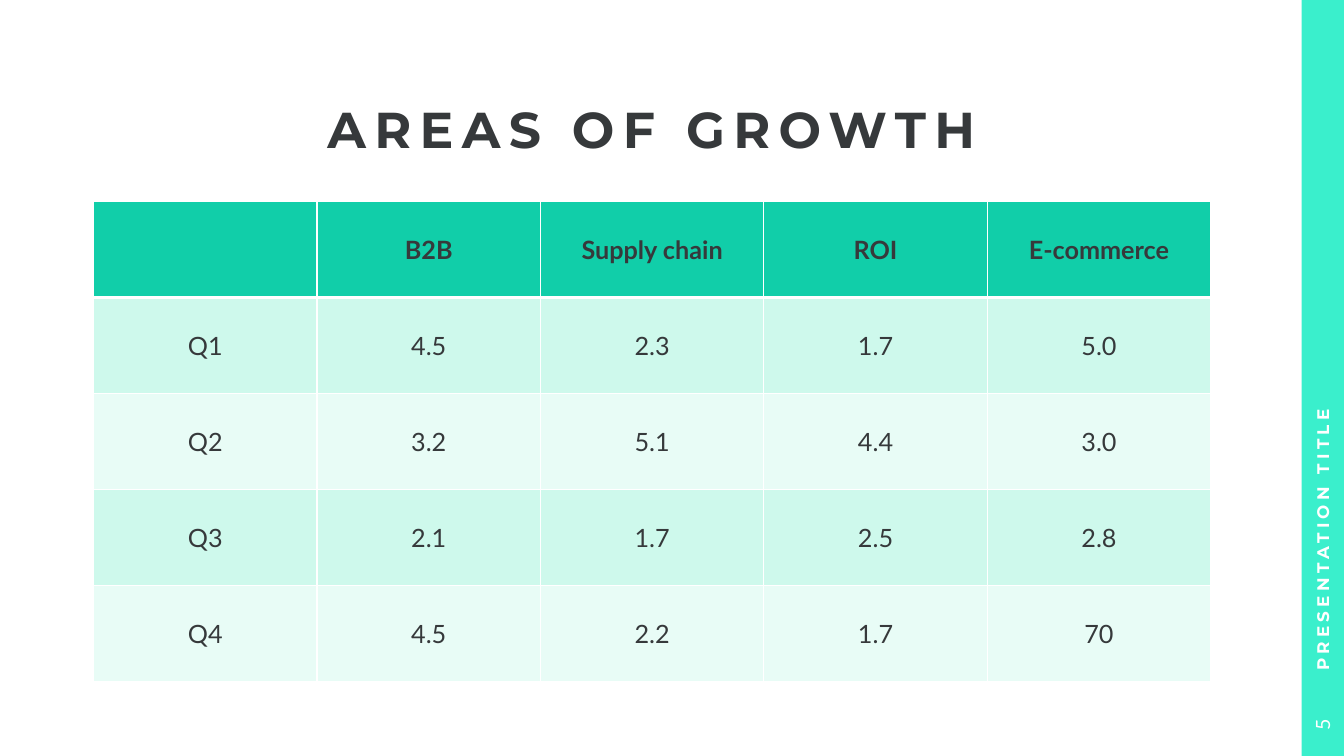
from dataclasses import dataclass

from lxml import etree
from pptx import Presentation
from pptx.dml.color import RGBColor
from pptx.enum.shapes import MSO_SHAPE
from pptx.enum.text import MSO_ANCHOR, PP_ALIGN
from pptx.oxml.ns import qn
from pptx.slide import Slide
from pptx.table import _Cell
from pptx.text.text import _Paragraph
from pptx.util import Cm, Pt

RECT = MSO_SHAPE.RECTANGLE
MIDDLE = MSO_ANCHOR.MIDDLE
LEFT, CENTER = PP_ALIGN.LEFT, PP_ALIGN.CENTER


@dataclass(frozen=True)
class Theme:
    ink: str = "36393B"
    white: str = "FFFFFF"
    bar: str = "3AEFCC"
    head: str = "11CEA9"
    bands: tuple[str, str] = ("CEF9EC", "E8FCF6")
    title_font: str = "Montserrat"
    body_font: str = "Lato"
    title_size: int = 36
    table_size: int = 18
    foot_size: int = 12
    page_size: int = 14
    thin: int = 1
    thick: int = 3


@dataclass(frozen=True)
class Style:
    font: str
    size: int
    color: str
    bold: bool = False
    gap: int = 0
    align: PP_ALIGN = CENTER
    line: float = 1.0


@dataclass(frozen=True)
class Label:
    text: str
    box: tuple[float, float, float, float]
    style: Style
    inset: tuple[float, float, float, float]
    turn: int = 0


THEME = Theme()
SIDE = (0.25, 0.13, 0.25, 0.13)

LABELS = [
    Label("AREAS OF GROWTH", (2.36, 2.44, 28.12, 1.8),
          Style(THEME.title_font, THEME.title_size, THEME.ink, True, 6, line=0.9),
          (0, 0, 0, 0)),
    Label("PRESENTATION TITLE", (24.59, 8.2, 17.48, 1.07),
          Style(THEME.title_font, THEME.foot_size, THEME.white, True, 3, LEFT),
          (0.58, 0.13, 0.25, 0.13), 270),
    Label("5", (32.54, 17.73, 1.57, 1.07),
          Style(THEME.body_font, THEME.page_size, THEME.white), SIDE, 270),
]

ROWS = [
    ("", "B2B", "Supply chain", "ROI", "E-commerce"),
    ("Q1", "4.5", "2.3", "1.7", "5.0"),
    ("Q2", "3.2", "5.1", "4.4", "3.0"),
    ("Q3", "2.1", "1.7", "2.5", "2.8"),
    ("Q4", "4.5", "2.2", "1.7", "70"),
]
COL_WIDTH, ROW_HEIGHT = 5.63, 2.42


def write(para: _Paragraph, text: str, style: Style) -> None:
    para.alignment = style.align
    para.line_spacing = style.line
    if not text:
        return
    run = para.add_run()
    run.text = text
    formats = {"name": style.font, "size": Pt(style.size), "bold": style.bold}
    for name, value in formats.items():
        setattr(run.font, name, value)
    run.font.color.rgb = RGBColor.from_string(style.color)
    if style.gap:
        run.font._element.set("spc", str(style.gap * 100))


def add_label(slide: Slide, label: Label) -> None:
    shape = slide.shapes.add_textbox(*map(Cm, label.box))
    shape.rotation = label.turn
    left, top, right, bottom = map(Cm, label.inset)
    formats = {
        "word_wrap": True, "vertical_anchor": MIDDLE,
        "margin_left": left, "margin_top": top,
        "margin_right": right, "margin_bottom": bottom,
    }
    for name, value in formats.items():
        setattr(shape.text_frame, name, value)
    write(shape.text_frame.paragraphs[0], label.text, label.style)


def add_bar(slide: Slide) -> None:
    bar = slide.shapes.add_shape(RECT, Cm(32.8), 0, Cm(1.07), Cm(19.05))
    bar.shadow.inherit = False
    bar.fill.solid()
    bar.fill.fore_color.rgb = RGBColor.from_string(THEME.bar)
    bar.line.fill.background()


def add_edges(cell: _Cell, top: int, bottom: int) -> None:
    props = cell._tc.get_or_add_tcPr()
    edges = {"L": THEME.thin, "R": THEME.thin, "T": top, "B": bottom}
    for side, width in edges.items():
        edge = etree.SubElement(props, qn(f"a:ln{side}"), w=str(Pt(width)))
        fill = etree.SubElement(edge, qn("a:solidFill"))
        etree.SubElement(fill, qn("a:srgbClr"), val=THEME.white)


def add_grid(slide: Slide) -> None:
    count, width = len(ROWS), len(ROWS[0])
    frame = slide.shapes.add_table(
        count, width, Cm(2.36), Cm(5.08),
        Cm(COL_WIDTH * width), Cm(ROW_HEIGHT * count))
    table = frame.table
    table.first_row = table.horz_banding = False
    for col in table.columns:
        col.width = Cm(COL_WIDTH)
    for i, texts in enumerate(ROWS):
        table.rows[i].height = Cm(ROW_HEIGHT)
        head = i == 0
        color = THEME.head if head else THEME.bands[(i - 1) % 2]
        style = Style(THEME.body_font, THEME.table_size, THEME.ink, head)
        # The heavy rule lies between the header and the first quarter
        top = THEME.thick if i == 1 else THEME.thin
        bottom = THEME.thick if head else THEME.thin
        for j, text in enumerate(texts):
            cell = table.cell(i, j)
            cell.vertical_anchor = MIDDLE
            add_edges(cell, top, bottom)
            cell.fill.solid()
            cell.fill.fore_color.rgb = RGBColor.from_string(color)
            write(cell.text_frame.paragraphs[0], text, style)


def main() -> None:
    deck = Presentation()
    deck.slide_width, deck.slide_height = Cm(33.87), Cm(19.05)
    slide = deck.slides.add_slide(deck.slide_layouts[6])

    # Side bar
    add_bar(slide)
    # Growth table
    add_grid(slide)
    # Title, footer and page number
    for label in LABELS:
        add_label(slide, label)

    deck.save("out.pptx")


if __name__ == "__main__":
    main()
